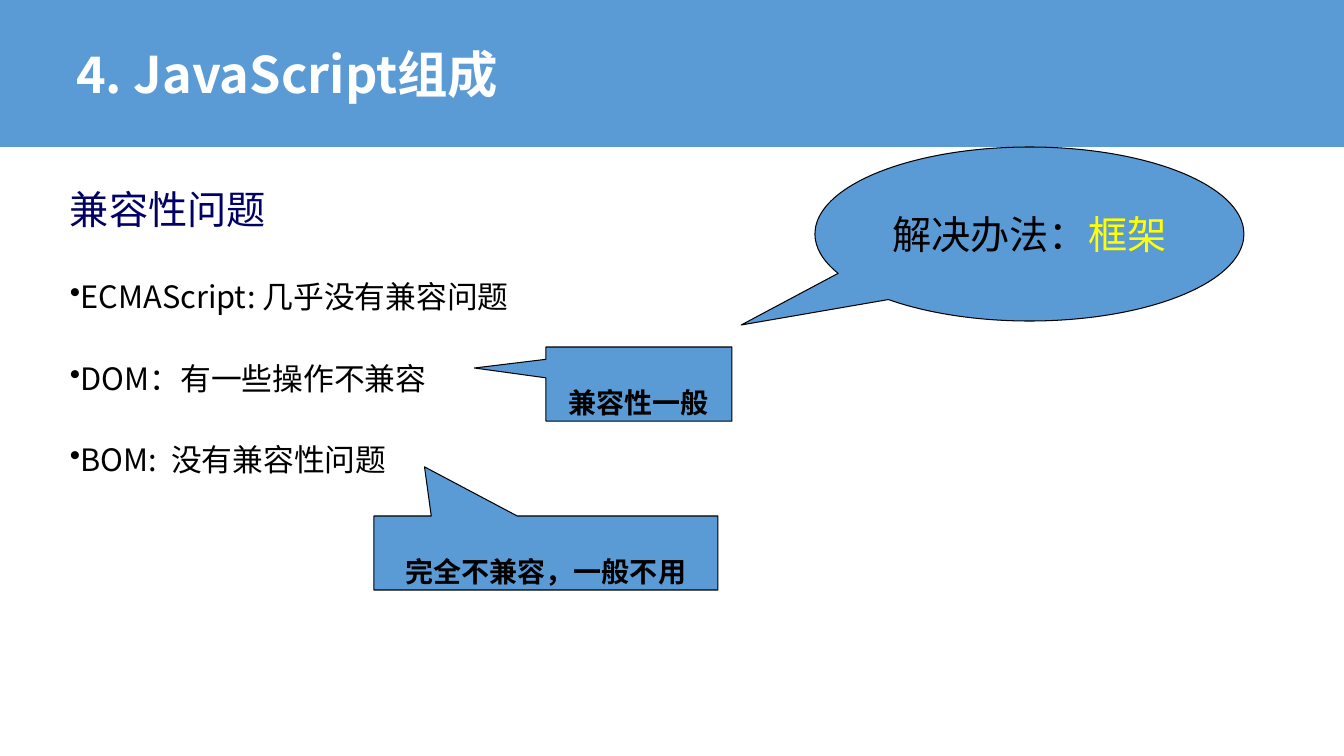
from lxml.etree import SubElement
from pptx import Presentation
from pptx.dml.color import RGBColor
from pptx.enum.shapes import MSO_SHAPE as Kind
from pptx.enum.text import MSO_ANCHOR as Anchor, PP_ALIGN as Align
from pptx.oxml.ns import qn
from pptx.util import Emu, Pt

BLUE = RGBColor(0x5B, 0x9B, 0xD5)
NAVY = RGBColor(0x00, 0x00, 0x66)
BLACK = RGBColor(0x00, 0x00, 0x00)
WHITE = RGBColor(0xFF, 0xFF, 0xFF)
YELLOW = RGBColor(0xFF, 0xFF, 0x00)
FONT = "Noto Sans CJK SC"

SIZE = (1344, 756)
BAND = (0, 0, 1344, 147)
TITLE = ("4. JavaScript组成", (66, 0, 1185, 147))
BODY = (60, 186, 1210, 499)
HEAD = "兼容性问题"
POINTS = [
    "ECMAScript: 几乎没有兼容问题",
    "DOM：有一些操作不兼容",
    "BOM:  没有兼容性问题",
]
HANG = -31
NOTE = {"size": 20, "bold": True, "gap": 2, "anchor": Anchor.TOP, "wrap": True}
IDEA = {"size": 28, "bold": False, "gap": 1, "anchor": Anchor.MIDDLE, "wrap": False}
CALLS = [
    (Kind.RECTANGULAR_CALLOUT, (546, 347, 186, 74), (-0.885, -0.216),
     [("兼容性一般", BLACK)], NOTE),
    (Kind.RECTANGULAR_CALLOUT, (374, 516, 344, 74), (-0.353, -1.164),
     [("完全不兼容，一般不用", BLACK)], NOTE),
    (Kind.OVAL_CALLOUT, (815, 147, 429, 174), (-0.672, 0.523),
     [("解决办法：", BLACK), ("框架", YELLOW)], IDEA),
]


def px(n):
    """Turn px into EMU."""
    return Emu(round(n * 914400 / 100.8))


def put(obj, **vals):
    """Set each named value on an object."""
    for key, val in vals.items():
        setattr(obj, key, val)


def place(shape, box):
    """Move and size a shape."""
    put(shape, **dict(zip(("left", "top", "width", "height"), map(px, box))))


def write(para, text, size, color, bold=False):
    """Add a run of text to a paragraph."""
    run = para.add_run()
    run.text = text
    run.font.color.rgb = color
    put(run.font, name=FONT, size=Pt(size), bold=bold)


def draw(slide, kind, box):
    """Add a flat blue shape."""
    shape = slide.shapes.add_shape(kind, *map(px, box))
    shape.shadow.inherit = False
    shape.fill.solid()
    shape.fill.fore_color.rgb = BLUE
    return shape


def add_head(slide):
    """Set the title on its band."""
    band = draw(slide, Kind.RECTANGLE, BAND)
    band.line.fill.background()
    title = slide.shapes.title
    title.element.addprevious(band.element)
    text, box = TITLE
    place(title, box)
    put(title.text_frame, vertical_anchor=Anchor.MIDDLE, word_wrap=True)
    para = title.text_frame.paragraphs[0]
    para.alignment = Align.LEFT
    write(para, text, 36, WHITE, True)


def add_body(slide):
    """Write the heading and its bullet points."""
    box = slide.shapes.add_textbox(*map(px, BODY))
    frame = box.text_frame
    frame.word_wrap = True
    para = frame.paragraphs[0]
    put(para, line_spacing=0.9, space_before=Pt(5.4))
    write(para, HEAD, 28, NAVY)
    for text in POINTS:
        para = frame.add_paragraph()
        put(para, level=1, line_spacing=2.0, space_before=Pt(5.4))
        write(para, text, 22, BLACK)
    for props in box.element.iter(qn("a:pPr")):
        if props.get("lvl"):
            props.set("marL", "0")
            props.set("indent", str(px(HANG)))
            SubElement(props, qn("a:buChar")).set("char", "•")


def add_call(slide, kind, box, tip, parts, form):
    """Draw one callout with its text."""
    shape = draw(slide, kind, box)
    shape.line.color.rgb = BLACK
    shape.line.width = Pt(0.75)
    for i, val in enumerate(tip):
        shape.adjustments[i] = val
    frame = shape.text_frame
    put(frame, vertical_anchor=form["anchor"], word_wrap=form["wrap"])
    para = frame.paragraphs[0]
    put(para, alignment=Align.CENTER, line_spacing=float(form["gap"]))
    for text, color in parts:
        write(para, text, form["size"], color, form["bold"])


def main():
    """Build and save the slide."""
    deck = Presentation()
    wide, high = map(px, SIZE)
    put(deck, slide_width=wide, slide_height=high)
    slide = deck.slides.add_slide(deck.slide_layouts[5])
    add_head(slide)
    add_body(slide)
    for call in CALLS:
        add_call(slide, *call)
    for props in slide.element.iter(qn("a:rPr")):
        SubElement(props, qn("a:ea")).set("typeface", FONT)
    deck.save("out.pptx")


if __name__ == "__main__":
    main()
